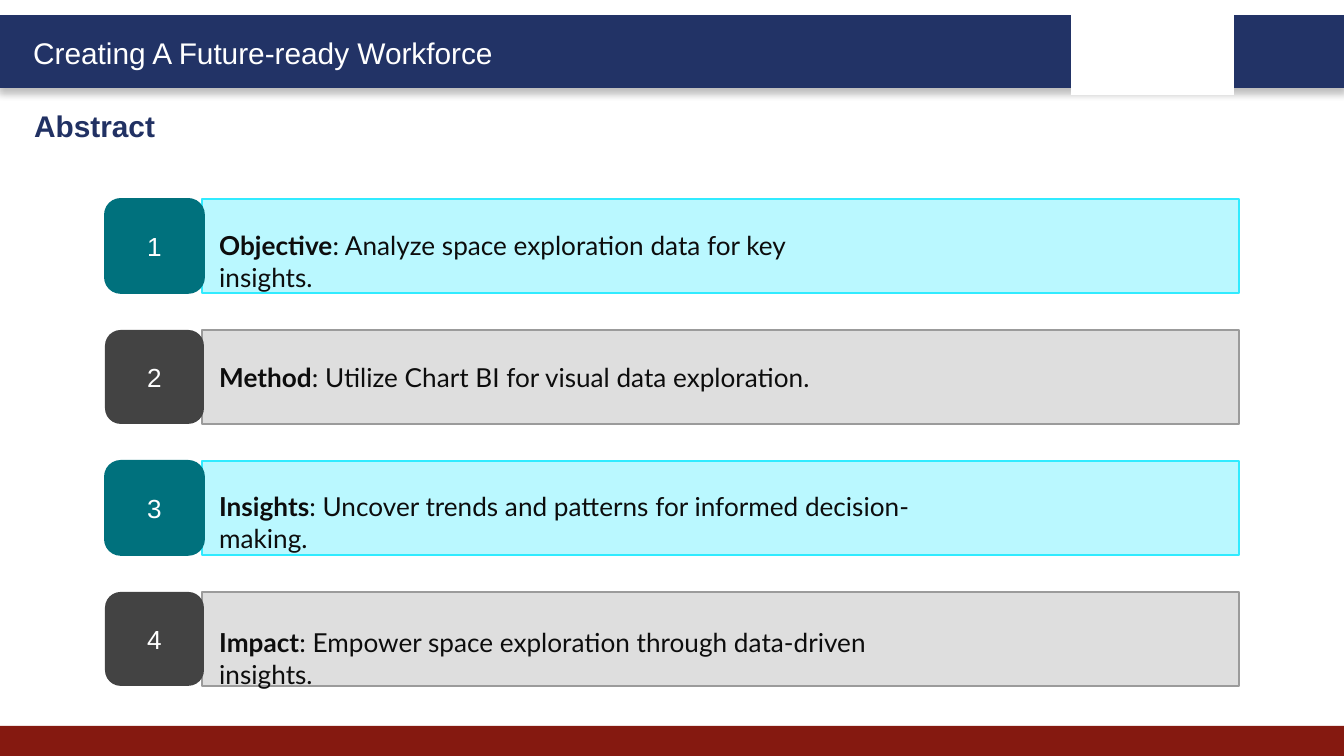
from dataclasses import dataclass
from typing import Optional

from lxml import etree
from pptx import Presentation
from pptx.dml.color import RGBColor
from pptx.enum import shapes, text
from pptx.oxml.ns import qn
from pptx.util import Emu, Pt

PX = 914400 / 134.4
RECT = shapes.MSO_SHAPE.RECTANGLE
ROUNDED = shapes.MSO_SHAPE.ROUNDED_RECTANGLE


@dataclass
class Box:
    left: int
    top: int
    width: int
    height: int


@dataclass
class Theme:
    badge: str
    badge_line: Optional[str]
    bar: str
    bar_line: str


@dataclass
class Item:
    label: str
    detail: str
    text_top: int
    text_width: int


TEAL = Theme("00717D", "00717D", "BAF8FF", "31EBFF")
GRAY = Theme("434343", None, "DEDEDE", "9B9B9B")
ITEMS = [
    Item("Objective", ": Analyze space exploration data for key insights.", 223, 683),
    Item("Method", ": Utilize Chart BI for visual data exploration.", 355, 683),
    Item("Insights", ": Uncover trends and patterns for informed decision-making.", 484, 770),
    Item("Impact", ": Empower space exploration through data-driven insights.", 620, 758),
]
ROW_TOP, ROW_PITCH, ROW_HEIGHT = 199, 131, 94


def px(n: int) -> Emu:
    return Emu(round(n * PX))


def rgb(color: str) -> RGBColor:
    return RGBColor.from_string(color)


def place(box: Box) -> list[Emu]:
    return [px(n) for n in (box.left, box.top, box.width, box.height)]


def add_run(p, words: str, size: int, font: str, color: str, bold: bool = False) -> None:
    r = p.add_run()
    r.text = words
    r.font.size = Pt(size)
    r.font.name = font
    r.font.bold = bold
    r.font.color.rgb = rgb(color)


def add_block(slide, kind, box: Box, fill: str, line: Optional[str] = None, weight: int = 1):
    sp = slide.shapes.add_shape(kind, *place(box))
    sp.shadow.inherit = False
    sp.fill.solid()
    sp.fill.fore_color.rgb = rgb(fill)
    if line:
        sp.line.color.rgb = rgb(line)
        sp.line.width = Pt(weight)
    else:
        sp.line.fill.background()
    return sp


def add_shadow(sp, color: str, alpha: int, blur: int, distance: int) -> None:
    effects = sp._element.spPr.find(qn("a:effectLst"))
    shadow = etree.SubElement(effects, qn("a:outerShdw"), blurRad=str(Pt(blur)),
                              dist=str(Pt(distance)), dir="5400000", rotWithShape="0")
    clr = etree.SubElement(shadow, qn("a:srgbClr"), val=color)
    etree.SubElement(clr, qn("a:alpha"), val=str(alpha * 1000))


def add_paragraph_box(slide, box: Box):
    tf = slide.shapes.add_textbox(*place(box)).text_frame
    tf.word_wrap = True
    tf.auto_size = text.MSO_AUTO_SIZE.SHAPE_TO_FIT_TEXT
    return tf.paragraphs[0]


def add_item(slide, index: int, item: Item, theme: Theme) -> None:
    top = ROW_TOP + index * ROW_PITCH
    add_block(slide, RECT, Box(202, top, 1037, ROW_HEIGHT), theme.bar, theme.bar_line)
    badge = add_block(slide, ROUNDED, Box(105, top, 99, ROW_HEIGHT), theme.badge, theme.badge_line)
    tf = badge.text_frame
    tf.vertical_anchor = text.MSO_ANCHOR.MIDDLE
    p = tf.paragraphs[0]
    p.alignment = text.PP_ALIGN.CENTER
    add_run(p, str(index + 1), 14, "Arial", "FFFFFF")

    p = add_paragraph_box(slide, Box(206, item.text_top, item.text_width, 46))
    add_run(p, item.label, 14, "Lato", "0D0D0D", bold=True)
    add_run(p, item.detail, 14, "Lato", "0D0D0D")


def main() -> None:
    prs = Presentation()
    prs.slide_width, prs.slide_height = px(1344), px(756)
    slide = prs.slides.add_slide(prs.slide_layouts[6])

    # Header and footer bands, with the blank panel on the header
    header = add_block(slide, RECT, Box(0, 17, 1344, 69), "223366", "223366", 2)
    add_shadow(header, "000000", alpha=25, blur=4, distance=3)
    add_block(slide, RECT, Box(0, 726, 1344, 30), "851910")
    add_block(slide, RECT, Box(1071, 9, 163, 86), "FFFFFF")

    # Titles
    p = add_paragraph_box(slide, Box(20, 28, 508, 50))
    add_run(p, "Creating A Future-ready Workforce", 16, "Arial", "FFFFFF")
    p = add_paragraph_box(slide, Box(21, 101, 650, 50))
    add_run(p, "Abstract", 16, "Arial", "213163", bold=True)

    # Numbered rows in alternating themes
    for index, item in enumerate(ITEMS):
        add_item(slide, index, item, (TEAL, GRAY)[index % 2])

    prs.save("out.pptx")


if __name__ == "__main__":
    main()
